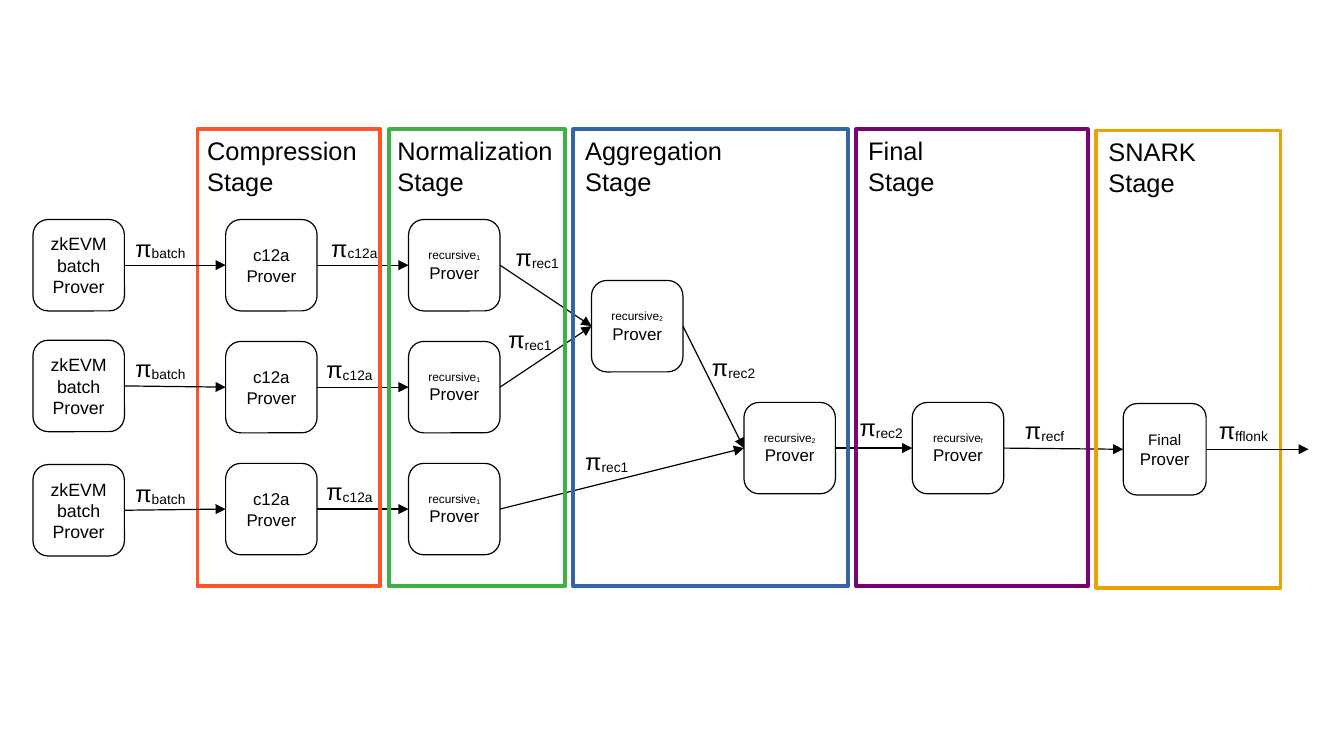
from lxml import etree
from pptx import Presentation
from pptx.dml.color import RGBColor
from pptx.enum.shapes import MSO_CONNECTOR, MSO_SHAPE
from pptx.enum.text import MSO_ANCHOR, PP_ALIGN
from pptx.oxml.ns import qn
from pptx.util import Inches, Pt

COLORS = {
    "ink": "000000", "paper": "FFFFFF", "red": "FF5429", "green": "3FAF46",
    "blue": "3465A4", "purple": "780373", "gold": "E8A202",
}
SIDE = 0.75
ROWS = [1.8, 2.8, 3.8]
BATCH_ROWS = [1.8, 2.79, 3.81]

# frame left, top, width, color, title, title shift
STAGES = [
    (1.62, 1.06, 1.5, "red", "Compression", -0.02),
    (3.19, 1.06, 1.44, "green", "Normalization", -0.03),
    (4.7, 1.06, 2.25, "blue", "Aggregation", 0),
    (7.02, 1.06, 1.9, "purple", "Final", 0),
    (8.99, 1.07, 1.51, "gold", "SNARK", 0),
]


def color(name):
    return RGBColor.from_string(COLORS[name])


def write(par, parts, align=PP_ALIGN.CENTER):
    """Fill a paragraph with (text, size, is subscript) runs."""
    par.alignment = align
    for text, size, sub in parts:
        run = par.add_run()
        run.text = text
        run.font.name = "Arial"
        run.font.size = Pt(size)
        run.font.color.rgb = color("ink")
        if sub:
            run._r.get_or_add_rPr().set("baseline", "-8000")


def add_node(slide, left, top, lines, width=SIDE):
    node = slide.shapes.add_shape(
        MSO_SHAPE.ROUNDED_RECTANGLE, Inches(left), Inches(top),
        Inches(width), Inches(SIDE))
    node.shadow.inherit = False
    node.adjustments[0] = 0.167
    node.fill.solid()
    node.fill.fore_color.rgb = color("paper")
    node.line.color.rgb = color("ink")
    node.line.width = Pt(0.71)
    frame = node.text_frame
    frame.word_wrap = False
    frame.vertical_anchor = MSO_ANCHOR.MIDDLE
    for i, parts in enumerate(lines):
        par = frame.add_paragraph() if i else frame.paragraphs[0]
        write(par, parts)
    return node


def add_prover(slide, left, top, index):
    lines = [[("recursive", 7, False), (index, 7, True)],
             [("Prover", 10, False)]]
    return add_node(slide, left, top, lines)


def add_label(slide, left, top, name):
    box = slide.shapes.add_textbox(
        Inches(left), Inches(top), Inches(0.75), Inches(0.32))
    frame = box.text_frame
    frame.word_wrap = True
    frame.vertical_anchor = MSO_ANCHOR.MIDDLE
    write(frame.paragraphs[0], [("π", 14, False), (name, 14, True)])


def add_arrow(slide, start, end=None, length=0.84):
    """Join two nodes, or lead out of the first one when there is no second."""
    x, y = start.left + start.width, start.top + start.height // 2
    line = slide.shapes.add_connector(
        MSO_CONNECTOR.STRAIGHT, x, y, x + Inches(length), y)
    line.begin_connect(start, 3)
    if end is not None:
        line.end_connect(end, 1)
    line.line.color.rgb = color("ink")
    line.line.width = Pt(0.71)
    etree.SubElement(line.line._get_or_add_ln(), qn("a:tailEnd"), type="triangle")
    etree.SubElement(line._element.spPr, qn("a:effectLst"))


def add_stage(slide, left, top, width, tint, name, shift):
    frame = slide.shapes.add_shape(
        MSO_SHAPE.RECTANGLE, Inches(left), Inches(top),
        Inches(width), Inches(3.75))
    frame.shadow.inherit = False
    frame.fill.background()
    frame.line.color.rgb = color(tint)
    frame.line.width = Pt(2.3)
    title = slide.shapes.add_textbox(
        Inches(left + shift), Inches(top), Inches(1.79), Inches(0.6))
    text = title.text_frame
    text.word_wrap = True
    write(text.paragraphs[0], [(name, 15, False)], PP_ALIGN.LEFT)
    write(text.add_paragraph(), [("Stage", 15, False)], PP_ALIGN.LEFT)


def add_flow(slide):
    batch_text = [[(word, 10.5, False)] for word in ("zkEVM", "batch", "Prover")]
    c12a_text = [[(word, 10, False)] for word in ("c12a", "Prover")]
    final_text = [[("Final", 9, False)], [("Prover", 10, False)]]

    batch = [add_node(slide, 0.27, y, batch_text) for y in BATCH_ROWS]
    c12a = [add_node(slide, 1.85, y, c12a_text) for y in ROWS]
    norm = [add_prover(slide, 3.35, y, "1") for y in ROWS]
    merge = add_prover(slide, 4.85, 2.3, "2")
    join = add_prover(slide, 6.1, 3.3, "2")
    last = add_prover(slide, 7.48, 3.3, "f")
    snark = add_node(slide, 9.21, 3.31, final_text, 0.68)

    inner = list(zip(c12a, norm)) + [
        (norm[0], merge), (norm[1], merge), (norm[2], join),
        (merge, join), (join, last), (last, snark)]
    for start, end in inner:
        add_arrow(slide, start, end)
    for stage in STAGES:
        add_stage(slide, *stage)
    for start, end in zip(batch, c12a):
        add_arrow(slide, start, end)
    add_arrow(slide, snark)


def add_labels(slide):
    for y in BATCH_ROWS:
        add_label(slide, 0.94, y + 0.07, "batch")
    for x, y in zip([2.53, 2.49, 2.49], ROWS):
        add_label(slide, x, y + 0.07, "c12a")
    for x, y, name in [
        (4.03, 1.95, "rec1"), (3.97, 2.62, "rec1"), (4.6, 3.62, "rec1"),
        (5.64, 2.85, "rec2"), (6.85, 3.34, "rec2"),
        (8.19, 3.37, "recf"), (9.82, 3.37, "fflonk"),
    ]:
        add_label(slide, x, y, name)


def main():
    deck = Presentation()
    deck.slide_width = Inches(11.02)
    deck.slide_height = Inches(6.2)
    slide = deck.slides.add_slide(deck.slide_layouts[6])
    add_flow(slide)
    add_labels(slide)
    deck.save("out.pptx")


if __name__ == "__main__":
    main()
